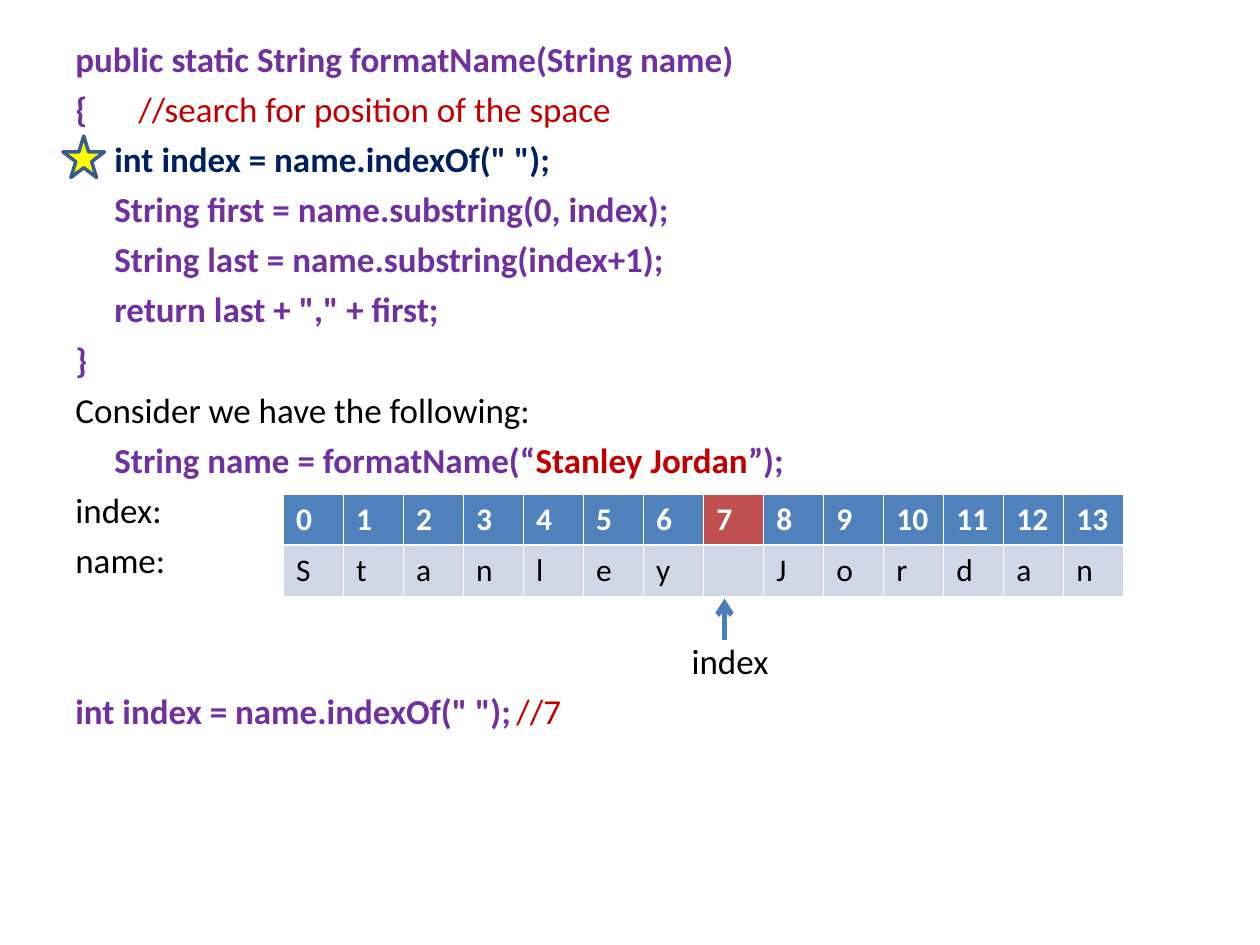
import lxml.etree
import pptx
import pptx.dml.color
import pptx.enum.shapes
import pptx.oxml.ns
import pptx.util
from pptx.util import Inches

PURPLE, RED, NAVY, BLACK, WHITE = "7030A0", "C00000", "002060", "000000", "FFFFFF"
HEADER, FOUND, LETTER = "4F81BD", "C0504D", "D0D8E8"
CODE_INDENT, LINE_GAP, LINE_PITCH = 0.31, 4.6, 29


def color(value):
    return pptx.dml.color.RGBColor.from_string(value)


def add_xml(parent, tag, **attributes):
    return lxml.etree.SubElement(parent, pptx.oxml.ns.qn(tag), attributes)


class CodeSlide:
    """Holds the text style and the current slide, and draws each kind of element."""

    def __init__(self, deck, font_name="Calibri"):
        self.font_name = font_name
        self.slide = deck.slides.add_slide(deck.slide_layouts[6])

    def style(self, font, hue, bold):
        font.color.rgb = color(hue)
        font.bold = bold

    def base(self, paragraph, size):
        paragraph.font.name = self.font_name
        paragraph.font.size = pptx.util.Pt(size)

    def listing(self, left, top, width, height, lines):
        frame = self.slide.shapes.add_textbox(
            Inches(left), Inches(top), Inches(width), Inches(height)).text_frame
        frame.word_wrap = True
        for number, (parts, layout) in enumerate(lines):
            line = frame.add_paragraph() if number else frame.paragraphs[0]
            line.space_before = pptx.util.Pt(layout.get("before", LINE_GAP))
            properties = line._p.get_or_add_pPr()
            properties.set("marL", str(Inches(layout.get("indent", 0))))
            properties.set("indent", "0")
            if "tab" in layout:
                stops = add_xml(properties, "a:tabLst")
                add_xml(stops, "a:tab", pos=str(Inches(layout["tab"])), algn="l")
            self.base(line, 20)
            for words, hue, bold in parts:
                run = line.add_run()
                run.text = words
                self.style(line.font if len(parts) == 1 else run.font, hue, bold)

    def arrow(self, start, end, hue, weight):
        pointer = self.slide.shapes.add_connector(
            pptx.enum.shapes.MSO_CONNECTOR.STRAIGHT,
            *(Inches(value) for value in start + end))
        pointer.line.color.rgb = color(hue)
        pointer.line.width = pptx.util.Pt(weight)
        add_xml(pointer.line._get_or_add_ln(), "a:tailEnd", type="arrow")
        add_xml(pointer._element.spPr, "a:effectLst")

    def star(self, left, top, size, fill, outline):
        marker = self.slide.shapes.add_shape(
            pptx.enum.shapes.MSO_SHAPE.STAR_5_POINT,
            Inches(left), Inches(top), Inches(size), Inches(size))
        marker.shadow.inherit = False
        marker.fill.solid()
        marker.fill.fore_color.rgb = color(fill)
        marker.line.color.rgb = color(outline)
        marker.line.width = pptx.util.Pt(2)

    def borders(self, cell, heavy_side):
        properties = cell._tc.get_or_add_tcPr()
        for side in ("lnL", "lnR", "lnT", "lnB"):
            weight = pptx.util.Pt(1.5 if side == heavy_side else 0.5)
            edge = add_xml(properties, "a:" + side, w=str(weight))
            add_xml(add_xml(edge, "a:solidFill"), "a:srgbClr", val=WHITE)

    def letter_table(self, left, top, width, height, name):
        table = self.slide.shapes.add_table(
            2, len(name), Inches(left), Inches(top), Inches(width), Inches(height)).table
        for position, letter in enumerate(name):
            table.columns[position].width = Inches(width / len(name))
            header_fill = FOUND if letter == " " else HEADER
            self.cell(table.cell(0, position), str(position), header_fill, WHITE, True, "lnB")
            self.cell(table.cell(1, position), letter.strip(), LETTER, BLACK, False, "lnT")

    def cell(self, cell, words, fill, hue, bold, heavy_side):
        self.borders(cell, heavy_side)
        cell.fill.solid()
        cell.fill.fore_color.rgb = color(fill)
        cell.text = words
        self.base(cell.text_frame.paragraphs[0], 18)
        self.style(cell.text_frame.paragraphs[0].font, hue, bold)


def code(words, hue=PURPLE, **layout):
    return [(words, hue, True)], layout


def plain(words, **layout):
    return [(words, BLACK, False)], layout


def main():
    deck = pptx.Presentation()
    deck.slide_width, deck.slide_height = Inches(10), Inches(7.5)
    page = CodeSlide(deck)
    name = "Stanley Jordan"
    page.listing(0.5, 0.25, 9, 6.45, [
        code("public static String formatName(String name)"),
        ([("{\t", PURPLE, True), ("//search for position of the space", RED, False)],
         {"tab": 0.28}),
        code('int index = name.indexOf(" ");', NAVY, indent=CODE_INDENT),
        code("String first = name.substring(0, index);", indent=CODE_INDENT),
        code("String last = name.substring(index+1);", indent=CODE_INDENT),
        code('return last + "," + first;', indent=CODE_INDENT),
        code("}"),
        plain("Consider we have the following:"),
        ([("String name = formatName(“", PURPLE, True), (name, RED, True),
          ("”);", PURPLE, True)], {"indent": CODE_INDENT}),
        plain("index:"),
        plain("name:"),
        plain("index", indent=4.89, before=LINE_GAP + LINE_PITCH),
        ([('int index = name.indexOf(" ");\t', PURPLE, True), ("//7", RED, False)],
         {"tab": 5}),
    ])
    page.arrow((5.75, 5.08), (5.75, 4.75), "4A7EBB", 3)
    page.star(0.5, 1.08, 0.33, "FFFF00", "385D8A")
    page.letter_table(2.25, 3.92, 6.67, 0.81, name)
    deck.save("out.pptx")


if __name__ == "__main__":
    main()
